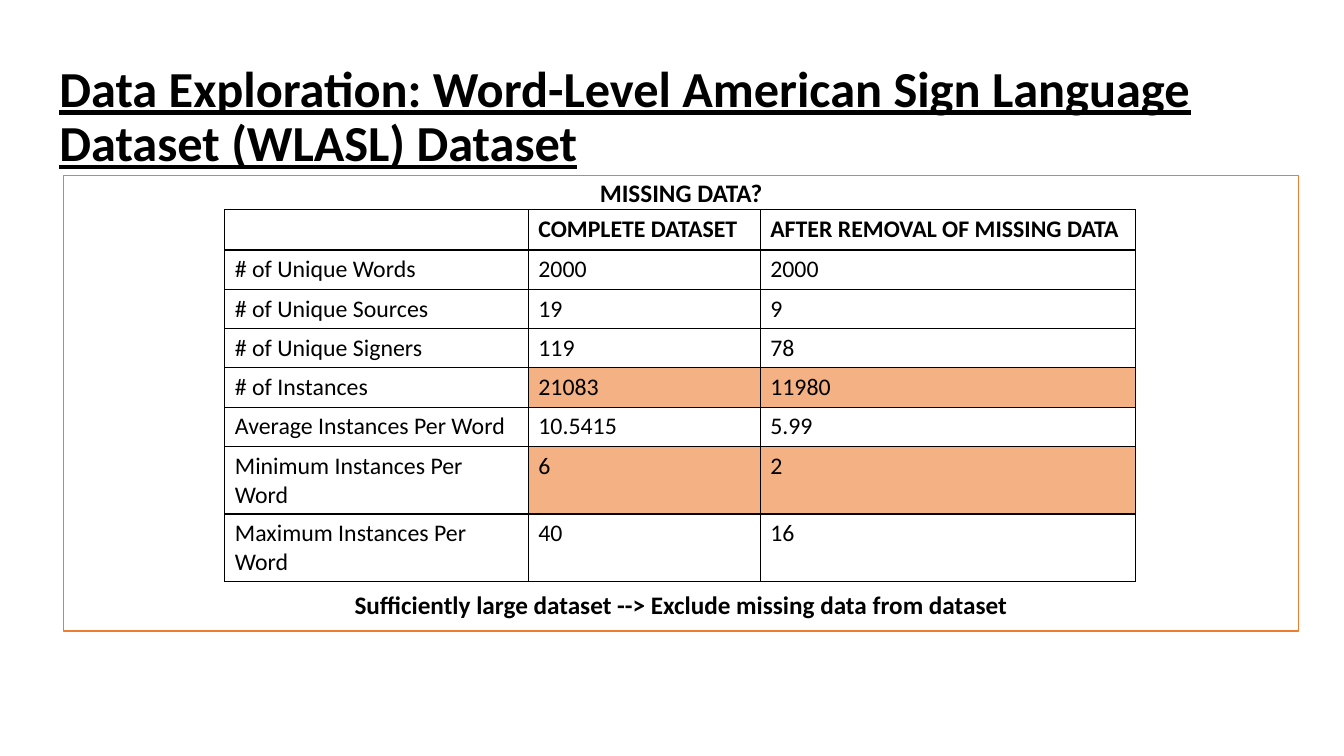
from lxml import etree
from pptx import Presentation
from pptx import util as u
from pptx.dml.color import RGBColor
from pptx.enum import shapes, text
from pptx.oxml import ns

ROWS = [
    ["", "COMPLETE DATASET", "AFTER REMOVAL OF MISSING DATA"],
    ["# of Unique Words", "2000", "2000"],
    ["# of Unique Sources", "19", "9"],
    ["# of Unique Signers", "119", "78"],
    ["# of Instances", "21083", "11980"],
    ["Average Instances Per Word", "10.5415", "5.99"],
    ["Minimum Instances Per Word", "6", "2"],
    ["Maximum Instances Per Word", "40", "16"],
]
COL_WIDTHS = [3.01, 2.3, 3.72]
ROW_HEIGHTS = [0.39] * 6 + [0.67] * 2
HIGHLIGHT_ROWS = {4, 6}


def rgb(value):
    return RGBColor.from_string(value)


class Deck:
    font = "Calibri"
    ink = "000000"
    paper = "FFFFFF"
    accent = "ED7D31"
    highlight = "F4B183"

    def __init__(self):
        self.prs = Presentation()
        self.prs.slide_width = u.Inches(13.33)
        self.prs.slide_height = u.Inches(7.5)
        self.s = self.prs.slides.add_slide(self.prs.slide_layouts[6])

    def add_text(self, p, content, size, para=None, **style):
        for name, value in (para or {}).items():
            setattr(p, name, value)
        r = p.add_run()
        r.text = content
        style = {"name": self.font, "size": u.Pt(size), **style}
        for name, value in style.items():
            setattr(r.font, name, value)
        r.font.color.rgb = rgb(self.ink)

    def title(self, box, content):
        sp = self.s.shapes.add_textbox(*map(u.Inches, box))
        tf = sp.text_frame
        tf.word_wrap = True
        tf.vertical_anchor = text.MSO_ANCHOR.MIDDLE
        self.add_text(tf.paragraphs[0], content, 36, {"line_spacing": 0.9},
                      bold=True, underline=True)

    def panel(self, box, heading, conclusion, gap):
        sp = self.s.shapes.add_shape(shapes.MSO_SHAPE.RECTANGLE, *map(u.Inches, box))
        sp.shadow.inherit = False
        sp.fill.solid()
        sp.fill.fore_color.rgb = rgb(self.paper)
        sp.line.color.rgb = rgb(self.accent)
        sp.line.width = u.Pt(1)
        tf = sp.text_frame
        tf.word_wrap = True
        tf.vertical_anchor = text.MSO_ANCHOR.TOP
        para = {"alignment": text.PP_ALIGN.CENTER, "line_spacing": 0.9}
        self.add_text(tf.paragraphs[0], heading, 18, para, bold=True)
        para["space_before"] = u.Pt(gap)
        self.add_text(tf.add_paragraph(), conclusion, 18, para, bold=True)

    def border(self, cell):
        tc_pr = cell._tc.get_or_add_tcPr()
        for side in ("lnL", "lnR", "lnT", "lnB"):
            ln = etree.SubElement(tc_pr, ns.qn(f"a:{side}"), w=str(u.Pt(1)))
            fill = etree.SubElement(ln, ns.qn("a:solidFill"))
            etree.SubElement(fill, ns.qn("a:srgbClr"), val=self.ink)

    def table(self, left, top, rows, widths, heights, highlighted):
        box = (left, top, sum(widths), sum(heights))
        table = self.s.shapes.add_table(len(rows), len(widths), *map(u.Inches, box)).table
        for col, width in zip(table.columns, widths):
            col.width = u.Inches(width)
        for i, (row, height) in enumerate(zip(rows, heights)):
            table.rows[i].height = u.Inches(height)
            for j, content in enumerate(row):
                cell = table.cell(i, j)
                self.border(cell)
                cell.fill.solid()
                marked = i in highlighted and j > 0
                cell.fill.fore_color.rgb = rgb(self.highlight if marked else self.paper)
                self.add_text(cell.text_frame.paragraphs[0], content, 17, bold=i == 0)


def main():
    deck = Deck()
    deck.title((0.49, 0.86, 12.38, 0.63),
               "Data Exploration: Word-Level American Sign Language Dataset (WLASL) Dataset")
    deck.panel((0.63, 1.74, 12.25, 4.52), "MISSING DATA?",
               "Sufficiently large dataset --> Exclude missing data from dataset", 275)
    deck.table(2.23, 2.08, ROWS, COL_WIDTHS, ROW_HEIGHTS, HIGHLIGHT_ROWS)
    deck.prs.save("out.pptx")


if __name__ == "__main__":
    main()
